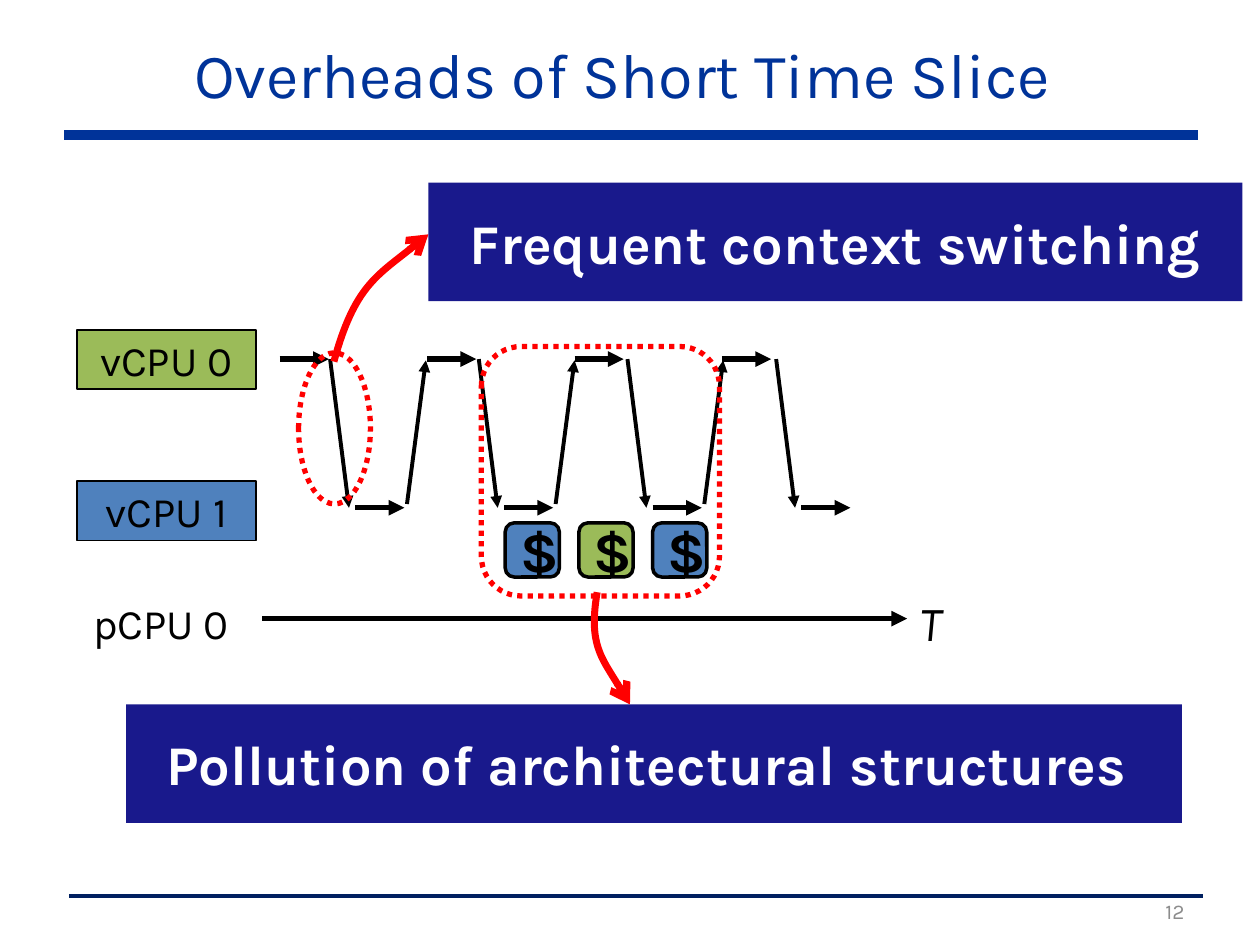
from lxml import etree
from pptx import Presentation
from pptx.dml.color import RGBColor
from pptx.enum.dml import MSO_LINE
from pptx.enum.shapes import MSO_CONNECTOR, MSO_SHAPE as SHAPE
from pptx.enum.text import MSO_ANCHOR as ANCHOR, MSO_AUTO_SIZE as FIT, PP_ALIGN as ALIGN
from pptx.oxml.ns import qn
from pptx.util import Inches, Pt

COLORS = {
    "title": "003399", "footer": "002060", "black": "000000", "white": "FFFFFF",
    "blue": "4F81BD", "green": "9BBB59", "red": "FF0000", "navy": "19198C",
    "gray": "8C8C8C",
}


def rgb(name):
    return RGBColor.from_string(COLORS[name])


def write(sp, text, size=24, color="black", bold=False, italic=False,
          align=ALIGN.CENTER, anchor=ANCHOR.MIDDLE, wrap=True, fit=FIT.NONE, font="Karla"):
    tf = sp.text_frame
    tf.word_wrap, tf.auto_size, tf.vertical_anchor = wrap, fit, anchor
    p = tf.paragraphs[0]
    p.alignment = align
    r = p.add_run()
    r.text = text
    r.font.name, r.font.size = font, Pt(size)
    r.font.bold, r.font.italic = bold, italic
    r.font.color.rgb = rgb(color)


class Slide:
    def __init__(self, prs):
        self.s = prs.slides.add_slide(prs.slide_layouts[5])
        self.shapes = self.s.shapes

    def stroke(self, sp, color, width, dash=None, **ends):
        sp.line.color.rgb = rgb(color)
        sp.line.width = Pt(width)
        if dash:
            sp.line.dash_style = dash
        ln = sp.line._get_or_add_ln()
        for end, kind in ends.items():
            etree.SubElement(ln, qn(f"a:{end}"), type=kind)

    def title(self, text, box):
        sp = self.shapes.title
        sp.left, sp.top, sp.width, sp.height = map(Inches, box)
        write(sp, text, size=36, color="title")

    def line(self, x1, y1, x2, y2, width, color="black", **ends):
        c = self.shapes.add_connector(MSO_CONNECTOR.STRAIGHT, *map(Inches, (x1, y1, x2, y2)))
        self.stroke(c, color, width, **ends)
        etree.SubElement(c._element.spPr, qn("a:effectLst"))

    def arrow(self, x1, y1, x2, y2, width=3):
        self.line(x1, y1, x2, y2, width, tailEnd="triangle")

    def box(self, kind, at, fill=None, line=None, width=1, dash=None, text=None, **fmt):
        sp = self.shapes.add_shape(kind, *map(Inches, at))
        sp.shadow.inherit = False
        if fill:
            sp.fill.solid()
            sp.fill.fore_color.rgb = rgb(fill)
        else:
            sp.fill.background()
        if line:
            self.stroke(sp, line, width, dash)
        else:
            sp.line.fill.background()
        if text:
            write(sp, text, **fmt)
        return sp

    def banner(self, at, text):
        sp = self.box(SHAPE.ROUNDED_RECTANGLE, at, "navy", text=text,
                      size=32, color="white", bold=True)
        sp.adjustments[0] = 0

    def text(self, at, text, **fmt):
        write(self.shapes.add_textbox(*map(Inches, at)), text, **fmt)

    def curve(self, *points):
        start, *rest = [(Inches(x), Inches(y)) for x, y in points]
        builder = self.shapes.build_freeform(*start)
        builder.add_line_segments(rest, close=False)
        sp = builder.convert_to_shape()
        segments = list(sp._element.iter(qn("a:lnTo")))
        bezier = etree.SubElement(segments[0].getparent(), qn("a:cubicBezTo"))
        for segment in segments:
            bezier.append(segment[0])
            segment.getparent().remove(segment)
        sp.shadow.inherit = False
        sp.fill.background()
        self.stroke(sp, "red", 4, headEnd="arrow")


def main():
    prs = Presentation()
    prs.slide_width, prs.slide_height = Inches(10), Inches(7.5)
    s = Slide(prs)
    s.line(0.55, 7.11, 9.55, 7.11, 2.25, "footer")
    s.line(0.51, 1.07, 9.51, 1.07, 6, "title")
    s.title("Overheads of Short Time Slice ", (0.5, 0.16, 9, 0.84))

    s.arrow(2.08, 4.91, 7.2, 4.91)
    for name, top, fill in (("vCPU 1", 3.82, "blue"), ("vCPU 0", 2.62, "green")):
        s.box(SHAPE.RECTANGLE, (0.61, top, 1.42, 0.47), fill, "black", text=name)
    label = dict(align=ALIGN.LEFT, anchor=ANCHOR.TOP, wrap=False, fit=FIT.SHAPE_TO_FIT_TEXT)
    s.text((0.64, 4.69, 1.29, 0.5), "pCPU 0", **label)

    high, low, run = 2.85, 4.03, 0.39
    for i in range(4):
        x0, x1, down = 2.22 + 1.17 * i, 2.82 + 1.18 * i, 2.62 + 1.18 * i
        s.arrow(x0, high, x0 + run, high)
        s.arrow(x1, low, x1 + run, low)
        s.arrow(down, high, down + 0.15, low, 2.25)
        if i < 3:
            up = 3.23 + 1.18 * i
            s.arrow(up, 4, up + 0.15, 2.86, 2.25)

    dotted = dict(line="red", width=3, dash=MSO_LINE.ROUND_DOT)
    s.box(SHAPE.OVAL, (2.37, 2.8, 0.57, 1.2), **dotted)
    s.curve((3.4, 1.86), (3.06, 2.14), (2.81, 2.28), (2.65, 2.87))
    s.banner((3.4, 1.45, 6.46, 0.94), "Frequent context switching")
    s.banner((1, 5.59, 8.38, 0.94), "Pollution of architectural structures ")
    s.text((7.2, 4.65, 0.44, 0.57), "T", size=28, italic=True, **label)
    s.box(SHAPE.ROUNDED_RECTANGLE, (3.82, 2.75, 1.89, 1.98), **dotted)
    s.curve((5, 5.59), (4.82, 5.29), (4.67, 5.11), (4.74, 4.7))
    for i, fill in enumerate(("blue", "green", "blue")):
        s.box(SHAPE.ROUNDED_RECTANGLE, (4.01 + 0.585 * i, 4.15, 0.43, 0.43), fill, "black", 2,
              text="$", size=32, bold=True)
    s.text((7.17, 7.11, 2.33, 0.24), "12", size=12, color="gray", align=ALIGN.RIGHT)
    prs.save("out.pptx")


if __name__ == "__main__":
    main()
